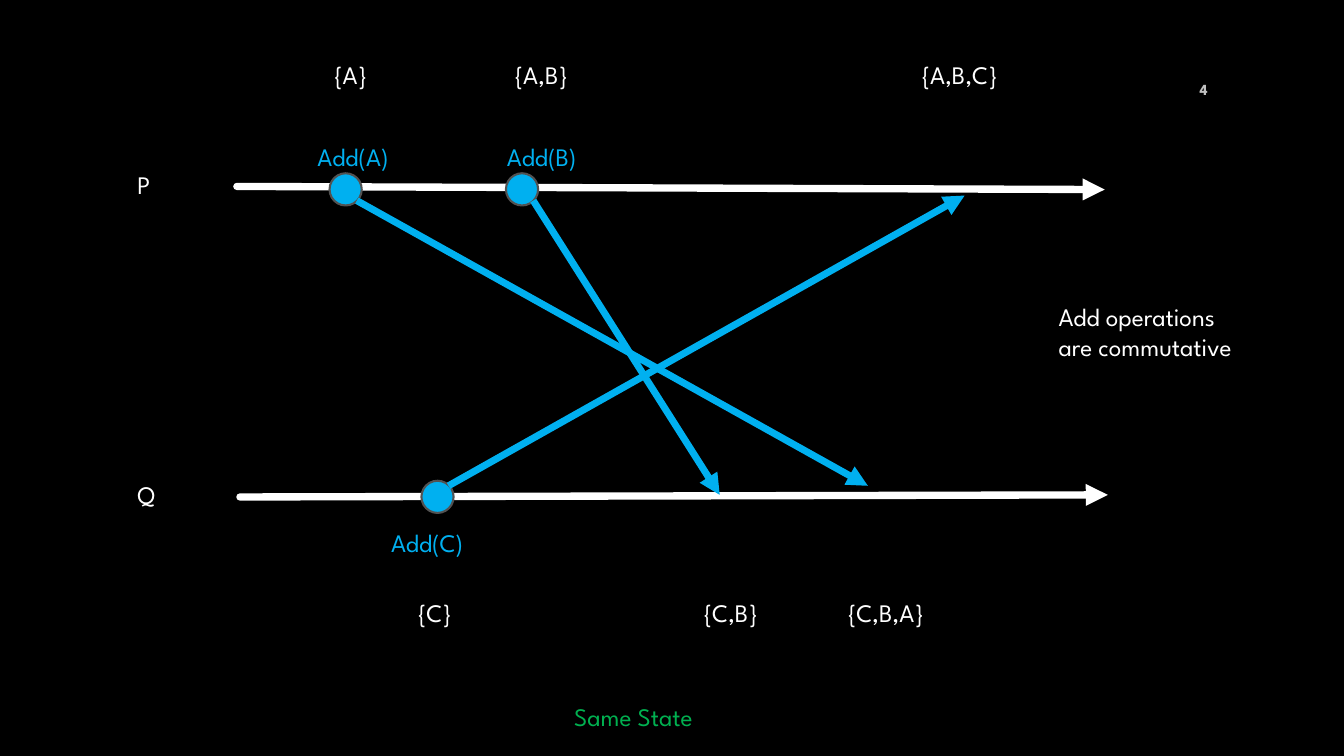
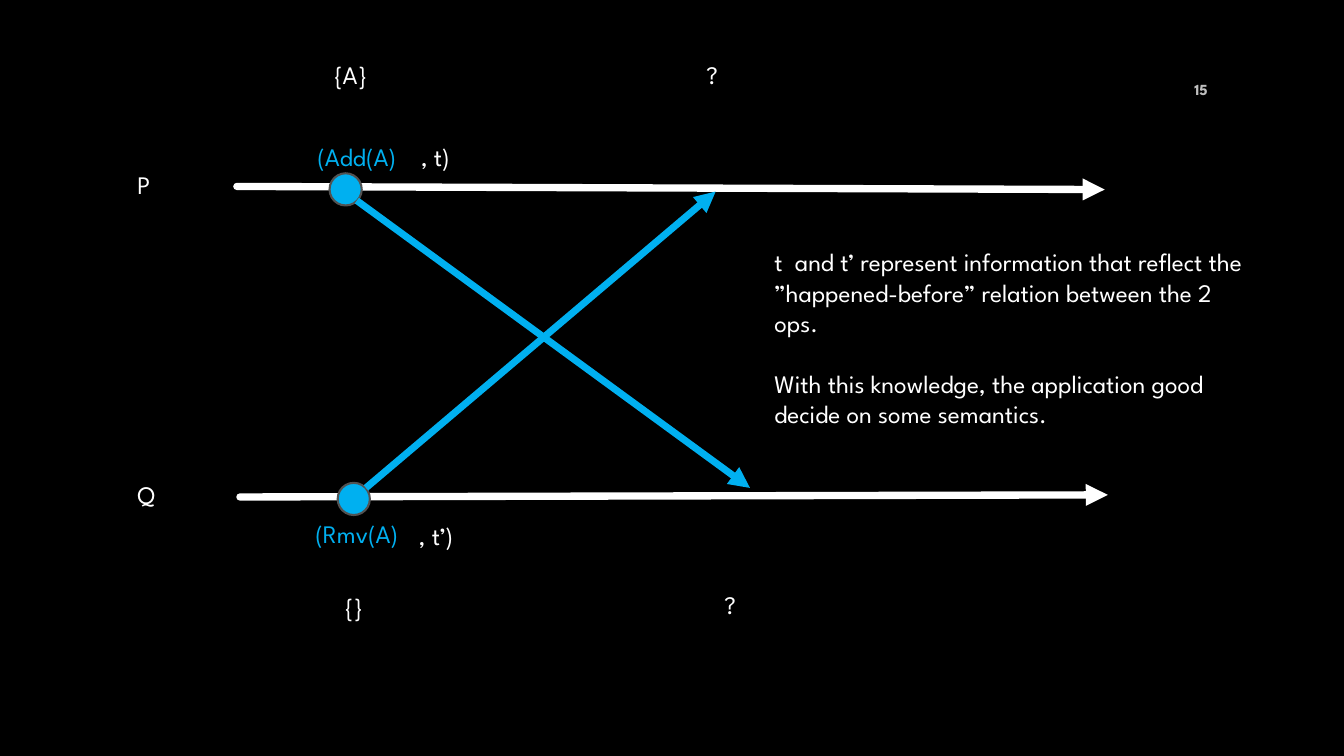
from dataclasses import dataclass
from typing import NamedTuple

from lxml.etree import SubElement
from pptx import Presentation
from pptx.dml.color import RGBColor
from pptx.enum.shapes import MSO_CONNECTOR, MSO_SHAPE
from pptx.enum.text import MSO_ANCHOR, MSO_AUTO_SIZE, PP_ALIGN
from pptx.oxml.ns import qn
from pptx.util import Pt

BLACK, WHITE, GREY, EDGE = "000000", "FFFFFF", "BFBFBF", "525252"
BLUE, GREEN = "00B0F0", "00B050"
BODY = {"name": "League Spartan", "size": Pt(18), "bold": False}
NUMBER = {**BODY, "size": Pt(11), "bold": True}
ROW = 29          # height of a one-line text box
DOT = 23          # diameter of an event dot
SETS_TOP = 39     # top of the state labels above P
EVENTS_TOP = 97.5  # top of the event labels above P


class Label(NamedTuple):
    text: str
    x: float
    y: float
    w: float
    color: str = WHITE


class Arrow(NamedTuple):
    x1: float
    y1: float
    x2: float
    y2: float
    color: str = BLUE
    width: float = 5
    cap: str = "flat"


class Dot(NamedTuple):
    x: float
    y: float


class Note(NamedTuple):
    paragraphs: list[str]
    x: float
    y: float
    w: float
    h: float
    gap: float = 0
    color: str = WHITE
    align: PP_ALIGN = PP_ALIGN.LEFT


@dataclass
class Diagram:
    number: str
    dots: list[Dot]
    messages: list[Arrow]
    labels: list[Label]
    notes: list[Note]


TIMELINES = [
    Arrow(171.4, 355, 791.3, 353.5, WHITE, 5.25, "rnd"),
    Arrow(169.2, 133.2, 789.1, 135.4, WHITE, 5.25, "rnd"),
]
PROCESSES = [Label("P", 91, 117.4, 25), Label("Q", 91, 339.1, 30)]

DIAGRAMS = [
    Diagram(
        "4",
        [Dot(235.4, 123.8), Dot(361.4, 123.8), Dot(301, 343.4)],
        [
            Arrow(254.9, 143.3, 619.9, 347),
            Arrow(380.9, 143.3, 514.1, 353.5),
            Arrow(320.4, 347, 689, 139.7),
        ],
        [
            Label("Add(A)", 219.6, EVENTS_TOP, 80, BLUE),
            Label("Add(B)", 355, EVENTS_TOP, 77, BLUE),
            Label("Add(C)", 272.2, 373, 81, BLUE),
            Label("{A}", 231.4, SETS_TOP, 41),
            Label("{A,B}", 360.4, SETS_TOP, 56),
            Label("{A,B,C}", 651, SETS_TOP, 76),
            Label("{C}", 291.2, 423, 42),
            Label("{C,B}", 495.4, 423, 58),
            Label("{C,B,A}", 598.3, 423, 76),
        ],
        [
            Note(["Same State"], 91, 497.2, 723, ROW, 0, GREEN, PP_ALIGN.CENTER),
            Note(["Add operations", "are commutative"], 749, 211.4, 145, 51),
        ],
    ),
    Diagram(
        "15",
        [Dot(235.4, 123.8), Dot(241.2, 344.9)],
        [
            Arrow(254.9, 143.3, 535.7, 348.5),
            Arrow(261.4, 348.5, 511.2, 136.8),
        ],
        [
            Label("(Add(A)", 219.6, EVENTS_TOP, 86, BLUE),
            Label(", t)", 293.5, EVENTS_TOP, 42),
            Label("(Rmv(A)", 218.2, 367, 86, BLUE),
            Label(", t’)", 292, 368, 48),
            Label("{A}", 231.4, SETS_TOP, 41),
            Label("?", 497.5, SETS_TOP, 25),
            Label("{}", 239, 419, 40),
            Label("?", 510.4, 417.6, 25),
        ],
        [
            Note(
                [
                    "t  and t’ represent information that reflect the "
                    "”happened-before” relation between the 2 ops.",
                    "With this knowledge, the application good decide on "
                    "some semantics.",
                ],
                546, 172.3, 355, 138, 22,
            ),
        ],
    ),
]


def rgb(color: str) -> RGBColor:
    return RGBColor.from_string(color)


def add_arrow(s, a: Arrow) -> None:
    ends = map(Pt, (a.x1, a.y1, a.x2, a.y2))
    c = s.shapes.add_connector(MSO_CONNECTOR.STRAIGHT, *ends)
    c.line.color.rgb = rgb(a.color)
    c.line.width = Pt(a.width)
    ln = c.line._get_or_add_ln()
    ln.set("cap", a.cap)
    SubElement(ln, qn("a:tailEnd"), type="triangle")
    SubElement(c._element.spPr, qn("a:effectLst"))


def add_dot(s, d: Dot) -> None:
    sp = s.shapes.add_shape(MSO_SHAPE.OVAL, Pt(d.x), Pt(d.y), Pt(DOT), Pt(DOT))
    sp.shadow.inherit = False
    sp.fill.solid()
    sp.fill.fore_color.rgb = rgb(BLUE)
    sp.line.color.rgb = rgb(EDGE)
    sp.line.width = Pt(1.5)


def add_text(s, n: Note, fmt: dict, wrap: bool = True,
             anchor: MSO_ANCHOR = MSO_ANCHOR.MIDDLE,
             fit: MSO_AUTO_SIZE = MSO_AUTO_SIZE.SHAPE_TO_FIT_TEXT) -> None:
    tf = s.shapes.add_textbox(Pt(n.x), Pt(n.y), Pt(n.w), Pt(n.h)).text_frame
    frame = {"word_wrap": wrap, "vertical_anchor": anchor, "auto_size": fit}
    for key, value in frame.items():
        setattr(tf, key, value)
    for i, text in enumerate(n.paragraphs):
        p = tf.add_paragraph() if i else tf.paragraphs[0]
        p.alignment = n.align
        if i and n.gap:
            p.space_before = Pt(n.gap)
        r = p.add_run()
        r.text = text
        for key, value in fmt.items():
            setattr(r.font, key, value)
        r.font.color.rgb = rgb(n.color)


def add_label(s, t: Label) -> None:
    # A fixed box keeps its left edge, and unwrapped text stays on one line
    note = Note([t.text], t.x, t.y, t.w, ROW, color=t.color)
    add_text(s, note, BODY, wrap=True, anchor=MSO_ANCHOR.TOP,
             fit=MSO_AUTO_SIZE.NONE)


def add_diagram(prs, d: Diagram) -> None:
    s = prs.slides.add_slide(prs.slide_layouts[6])
    # Timelines, events and messages
    for a in TIMELINES:
        add_arrow(s, a)
    for dot in d.dots:
        add_dot(s, dot)
    for a in d.messages:
        add_arrow(s, a)
    # Labels and explanations
    for t in PROCESSES + d.labels:
        add_label(s, t._replace(w=t.w + 6))
    for n in d.notes:
        add_text(s, n, BODY)
    # Slide number
    number = Note([d.number], 826.6, 49.3, 43.2, ROW, 0, GREY, PP_ALIGN.RIGHT)
    add_text(s, number, NUMBER, fit=MSO_AUTO_SIZE.NONE)


def main() -> None:
    prs = Presentation()
    prs.slide_width, prs.slide_height = Pt(960), Pt(540)
    fill = prs.slide_master.background.fill
    fill.solid()
    fill.fore_color.rgb = rgb(BLACK)
    for d in DIAGRAMS:
        add_diagram(prs, d)
    prs.save("out.pptx")


if __name__ == "__main__":
    main()
